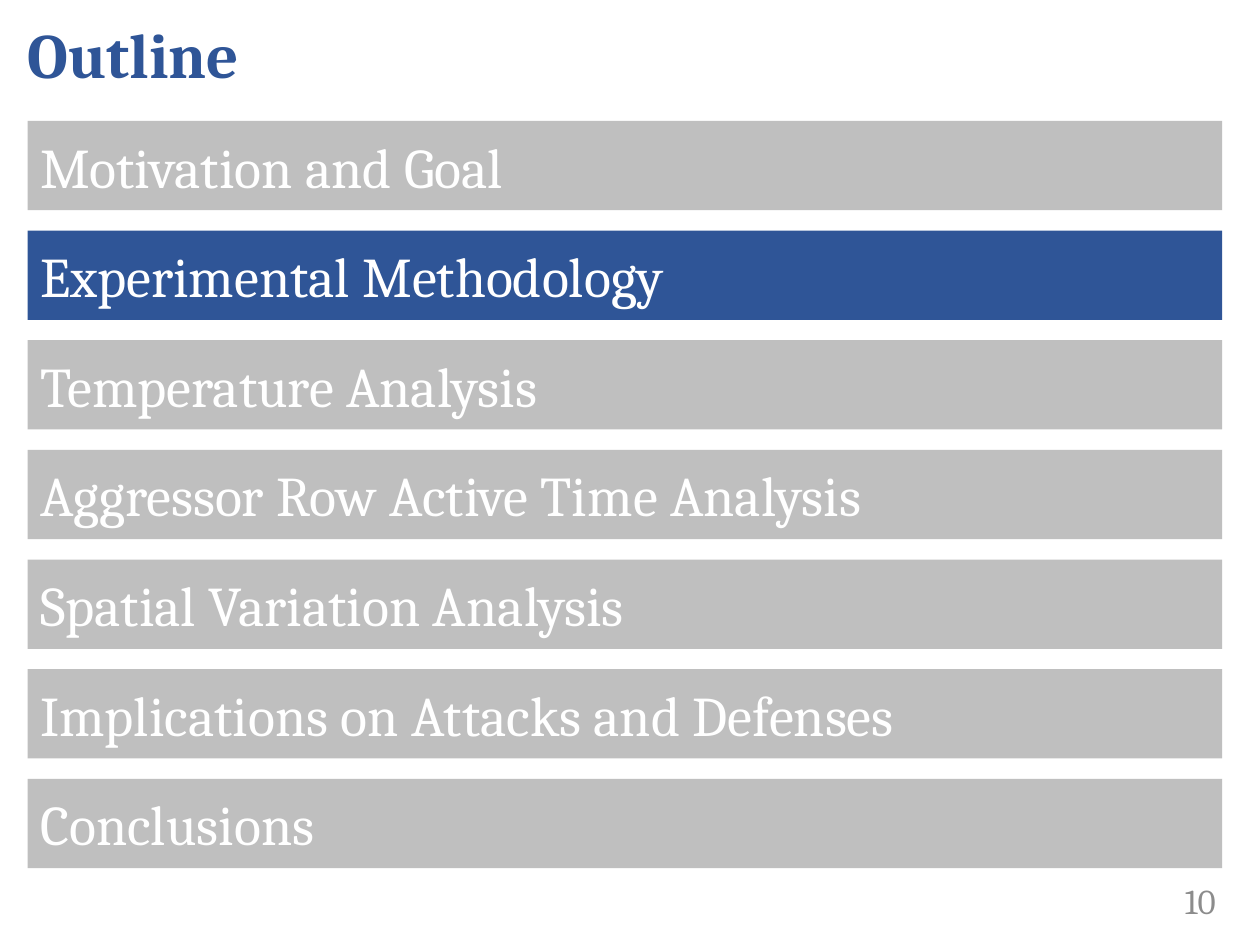
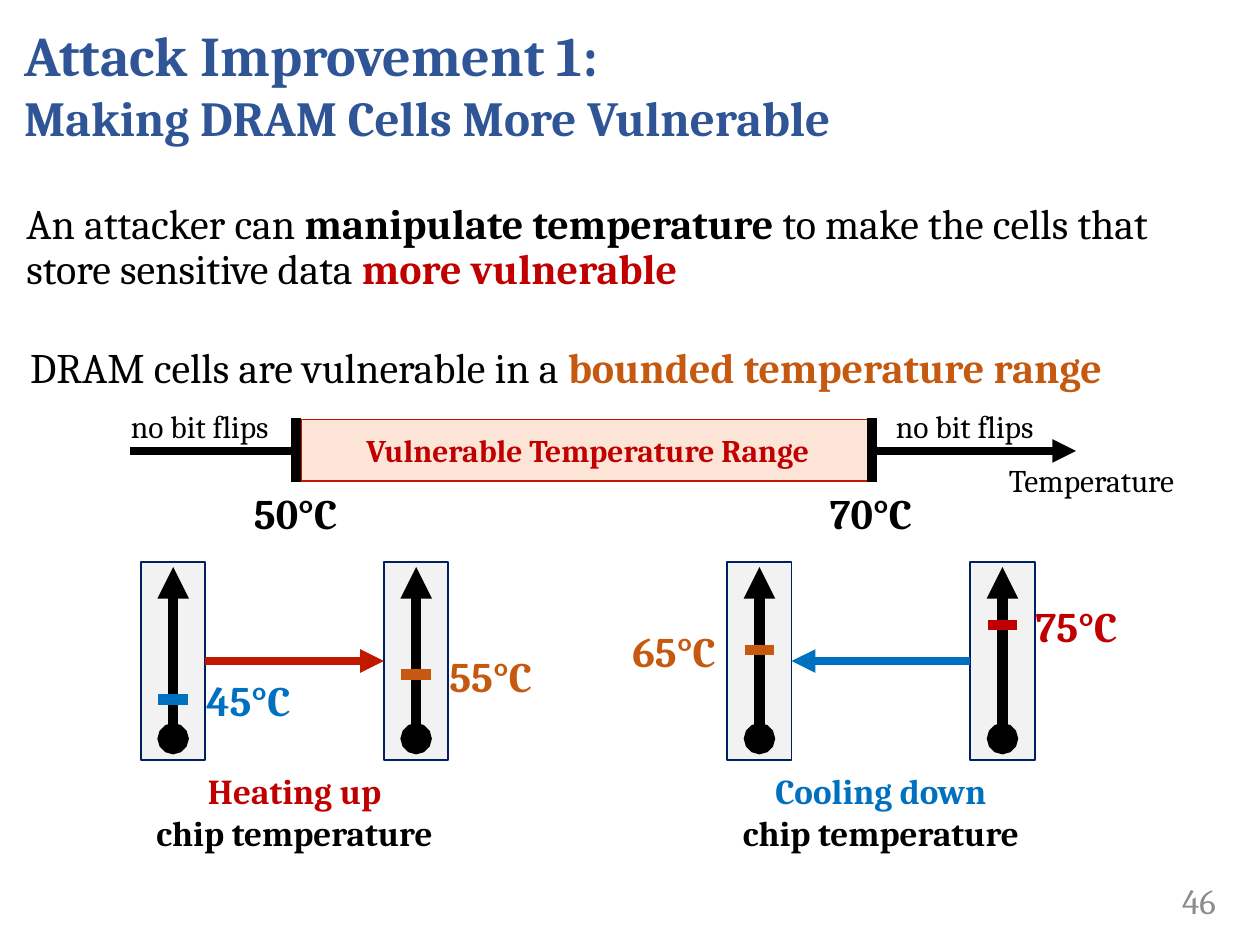
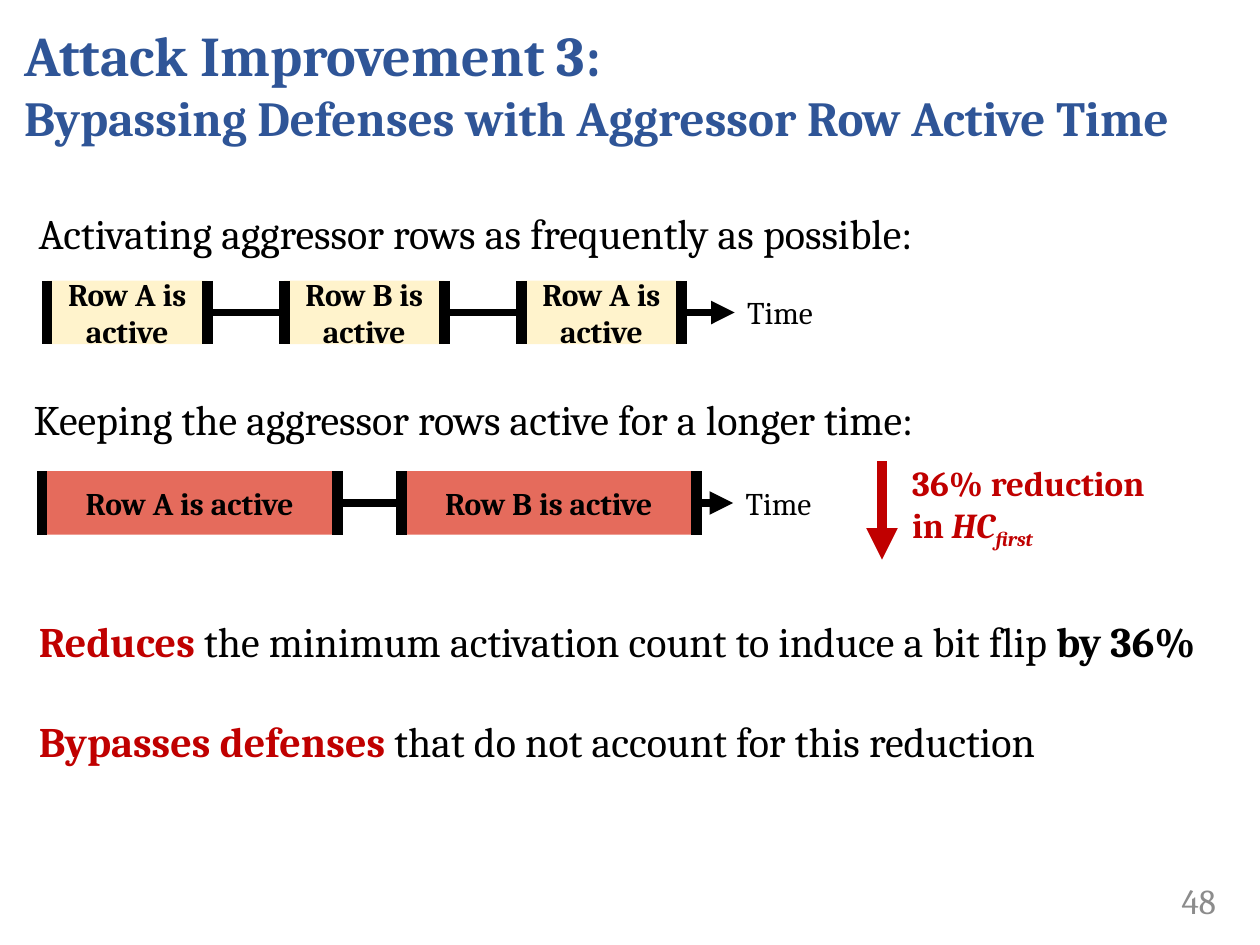
from lxml import etree
from pptx import Presentation
from pptx.dml.color import RGBColor
from pptx.enum import shapes, text
from pptx.oxml.ns import qn
from pptx.util import Cm, Pt

HUE = {
    "title": "2F5597", "idle": "BFBFBF", "white": "FFFFFF", "page": "8C8C8C",
    "black": "000000", "red": "C00000", "heat": "C01900", "orange": "C55910",
    "cool": "0070C0", "peach": "FCE5D6", "navy": "002060", "glass": "F2F2F2",
    "cream": "FFF3CC", "coral": "E56B5C",
}
LEFT, MID, RIGHT = text.PP_ALIGN.LEFT, text.PP_ALIGN.CENTER, text.PP_ALIGN.RIGHT
TOP, CENTRE = text.MSO_ANCHOR.TOP, text.MSO_ANCHOR.MIDDLE
BOLD = {"bold": True}
PLAIN_TITLE = (0.3, 0, 24.66, 2.13)
LONG_TITLE = (0.23, 0.61, 24.43, 2.13)


def rgb(name):
    return RGBColor.from_string(HUE[name])


def style(run, size=18, hue="black", base=None, **look):
    font = run.font
    for key, val in {"name": "Cambria", "size": Pt(size), **look}.items():
        setattr(font, key, val)
    font.color.rgb = rgb(hue)
    if base:
        run._r.get_or_add_rPr().set("baseline", str(base * 1000))


def write(par, runs, **look):
    """Add (words, changes) runs; a newline in the words breaks the line."""
    if isinstance(runs, str):
        runs = [(runs, {})]
    for words, change in runs:
        for i, part in enumerate(words.split("\n")):
            if i:
                par.add_line_break()
            if part:
                run = par.add_run()
                run.text = part
                style(run, **{**look, **change})


def frame(shape, anchor=TOP):
    tf = shape.text_frame
    for key, val in {"word_wrap": True, "vertical_anchor": anchor,
                     "auto_size": text.MSO_AUTO_SIZE.NONE}.items():
        setattr(tf, key, val)
    return tf


def place(shape, box):
    for key, val in zip(("left", "top", "width", "height"), box):
        setattr(shape, key, Cm(val))


def label(slide, box, runs, align=LEFT, anchor=TOP, space=1.0, **look):
    shape = slide.shapes.add_textbox(*map(Cm, box))
    par = frame(shape, anchor).paragraphs[0]
    par.alignment, par.line_spacing = align, space
    write(par, runs, **look)


def rect(slide, box, fill, edge=None, runs="", align=MID, **look):
    shape = slide.shapes.add_shape(shapes.MSO_SHAPE.RECTANGLE, *map(Cm, box))
    shape.shadow.inherit = False
    shape.fill.solid()
    shape.fill.fore_color.rgb = rgb(fill)
    if edge:
        shape.line.color.rgb, shape.line.width = rgb(edge), Pt(1)
    else:
        shape.line.fill.background()
    par = frame(shape, CENTRE).paragraphs[0]
    par.alignment = align
    write(par, runs, **look)
    return shape


def line(slide, ends, hue="black", width=6, **tips):
    """Draw a line through ends (x1, y1, x2, y2); tips are headEnd, tailEnd."""
    wire = slide.shapes.add_connector(shapes.MSO_CONNECTOR.STRAIGHT, *map(Cm, ends))
    wire.line.color.rgb, wire.line.width = rgb(hue), Pt(width)
    prop = wire.element.spPr
    for tip, kind in tips.items():
        etree.SubElement(prop.find(qn("a:ln")), qn("a:" + tip), type=kind)
    etree.SubElement(prop, qn("a:effectLst"))
    return wire


def start(deck, layout, page, box, runs, size):
    slide = deck.slides.add_slide(deck.slide_layouts[layout])
    title = slide.shapes.title
    place(title, box)
    par = frame(title, CENTRE).paragraphs[0]
    par.alignment, par.space_after = LEFT, Pt(6)
    write(par, runs, size=size, hue="title", bold=True)
    label(slide, (22.02, 17.65, 2.74, 1.02), str(page), RIGHT, CENTRE,
          size=20, hue="page")
    return slide


def body(slide, box, paras, space=1.0, gap=0):
    """Fill the body placeholder with unbulleted paragraphs, gap points apart."""
    shape = slide.placeholders[1]
    place(shape, box)
    tf = frame(shape)
    for i, runs in enumerate(paras):
        par = tf.add_paragraph() if i else tf.paragraphs[0]
        prop = par._p.get_or_add_pPr()
        prop.set("marL", "0")
        prop.set("indent", "0")
        etree.SubElement(prop, qn("a:buNone"))
        par.line_spacing, par.space_before = space, Pt(gap if i else 0)
        write(par, runs, size=24)


def agenda(slide, box, items, active):
    x, y, wide, high = box
    pitch = 2.21
    for i, item in enumerate(items):
        rect(slide, (x, y + i * pitch, wide, high),
             "title" if item == active else "idle",
             runs=item, align=LEFT, size=32, hue="white")


def scale(slide, box):
    """Temperature axis with the vulnerable range marked on it."""
    x, y, wide, high = box
    low, top = x + 3.35, x + 14.96
    line(slide, (x, y + 0.66, x + wide, y + 0.66), width=4.5, tailEnd="triangle")
    rect(slide, (low + 0.1, y + 0.03, top - low - 0.05, 1.24), "peach", "heat",
         "Vulnerable Temperature Range", hue="red", bold=True)
    for tick, temp, side in ((low, 50, x - 0.23), (top, 70, top + 0.23)):
        line(slide, (tick, y, tick, y + high))
        label(slide, (tick - 1.1, y + 1.27, 2.34, 1.27), f"{temp}°C", size=24, bold=True)
        label(slide, (side, y - 0.35, 3.43, 1.02), "no bit flips")
    label(slide, (x + 17.47, y + 0.74, 4.06, 1.02), "Temperature")


def gauge(slide, box, temp, hue, left=False):
    """Thermometer whose mark rises with temp; the reading sits beside it."""
    x, y, wide, high = box
    mid, mark = x + wide / 2, y + 2.77 - (temp - 45) * 0.05
    tube = rect(slide, box, "glass", "navy")
    line(slide, (mid, y + 3.56, mid, y + 0.1), headEnd="oval", tailEnd="triangle")
    line(slide, (mid - 0.3, mark, mid + 0.3, mark), hue)
    label(slide, (x - 2.16 if left else x + 1.07, mark - 0.62, 2.34, 1.27),
          f"{temp}°C", size=24, hue=hue, bold=True)
    return tube


def change(slide, box, temps, arrow, word, ink, cools=False):
    """Two thermometers, the arrow between them and the caption below."""
    x, y, wide, high = box
    tube = 1.3
    cold, hot = (
        gauge(slide, (at, y, tube, high), *reading, left=cools and at == x)
        for at, reading in zip((x, x + wide - tube), temps))
    wire = line(slide, (x, y, x + wide, y), arrow, 4.5, tailEnd="triangle")
    if cools:
        wire.begin_connect(hot, 1)
        wire.end_connect(cold, 3)
    else:
        wire.begin_connect(cold, 3)
        wire.end_connect(hot, 1)
    label(slide, (x, y + high + 0.07, wide, 1.96),
          [(word + "\n", {"hue": ink}), ("chip temperature", {})],
          MID, size=20, bold=True)


def track(slide, box, head, rows, fill, bar, pitch):
    """Heading over a time axis; rows are bars of equal width and pitch."""
    x, y, wide, drop = box
    first, top, high = x + 0.42, y + drop, 1.28
    axis = top + high / 2
    label(slide, (x, y, 19.38, 1.27), head, size=24)
    line(slide, (first, axis, x + wide, axis), width=4.5, tailEnd="triangle")
    label(slide, (x + wide, top + 0.13, 1.91, 1.02), "Time")
    for i, row in enumerate(rows):
        at = first + i * pitch
        rect(slide, (at, top, bar, high), fill, runs=f"Row {row} is active", bold=True)
        for tick in (at, at + bar):
            line(slide, (tick, top, tick, top + high))


def drop(slide, box):
    x, y, wide, high = box
    line(slide, (x, y + 0.13, x, y + 2.11), "red", tailEnd="triangle")
    label(slide, (x + 0.36, y, wide, high),
          [("36% reduction\nin ", {}), ("HC", {"italic": True}),
           ("first", {"italic": True, "base": -25})],
          size=20, hue="red", bold=True)


def outline(deck):
    slide = start(deck, 5, 10, PLAIN_TITLE, "Outline", 36)
    items = ("Motivation and Goal", "Experimental Methodology",
             "Temperature Analysis", "Aggressor Row Active Time Analysis",
             "Spatial Variation Analysis", "Implications on Attacks and Defenses",
             "Conclusions")
    agenda(slide, (0.56, 2.44, 24.08, 1.8), items, items[1])


def attack(deck, page, count, topic):
    runs = [(f"Attack Improvement {count}:\n", {}), (topic, {"size": 28})]
    return start(deck, 1, page, LONG_TITLE, runs, 32)


def heating(deck):
    slide = attack(deck, 46, 1, "Making DRAM Cells More Vulnerable")
    body(slide, (0.28, 3.96, 23.22, 2.29), [[
        ("An attacker can ", {}), ("manipulate temperature ", BOLD),
        ("to make the cells that store sensitive data ", {}),
        ("more vulnerable", {"hue": "red", **BOLD})]], space=0.9)
    label(slide, (0.36, 6.88, 24.43, 1.17), [
        ("DRAM cells are vulnerable in a ", {}),
        ("bounded temperature range", {"hue": "orange", **BOLD})],
        space=0.9, size=24)
    scale(slide, (2.62, 8.43, 19.07, 1.29))
    change(slide, (2.84, 11.33, 6.2, 3.99), ((45, "cool"), (55, "orange")),
           "heat", "Heating up", "red")
    change(slide, (14.66, 11.33, 6.2, 3.99), ((65, "orange"), (75, "red")),
           "cool", "Cooling down", "cool", cools=True)


def bypass(deck):
    slide = attack(deck, 48, 3, "Bypassing Defenses with Aggressor Row Active Time")
    track(slide, (0.53, 4.06, 14.28, 1.6),
          "Activating aggressor rows as frequently as possible:",
          "ABA", "cream", 3.23, 4.78)
    track(slide, (0.43, 7.8, 14.35, 1.7),
          "Keeping the aggressor rows active for a longer time:",
          "AB", "coral", 5.95, 7.24)
    drop(slide, (17.78, 9.17, 5.41, 1.96))
    strong = {"hue": "red", **BOLD}
    body(slide, (0.53, 12.29, 24.64, 3.33), [
        [("Reduces", strong),
         (" the minimum activation count to induce a bit flip ", {}),
         ("by 36%", BOLD)],
        [("Bypasses defenses ", strong),
         ("that do not account for this reduction", {})]], gap=28)


def main():
    deck = Presentation()
    deck.slide_width, deck.slide_height = Cm(25.4), Cm(19.05)
    for build in (outline, heating, bypass):
        build(deck)
    deck.save("out.pptx")


if __name__ == "__main__":
    main()
